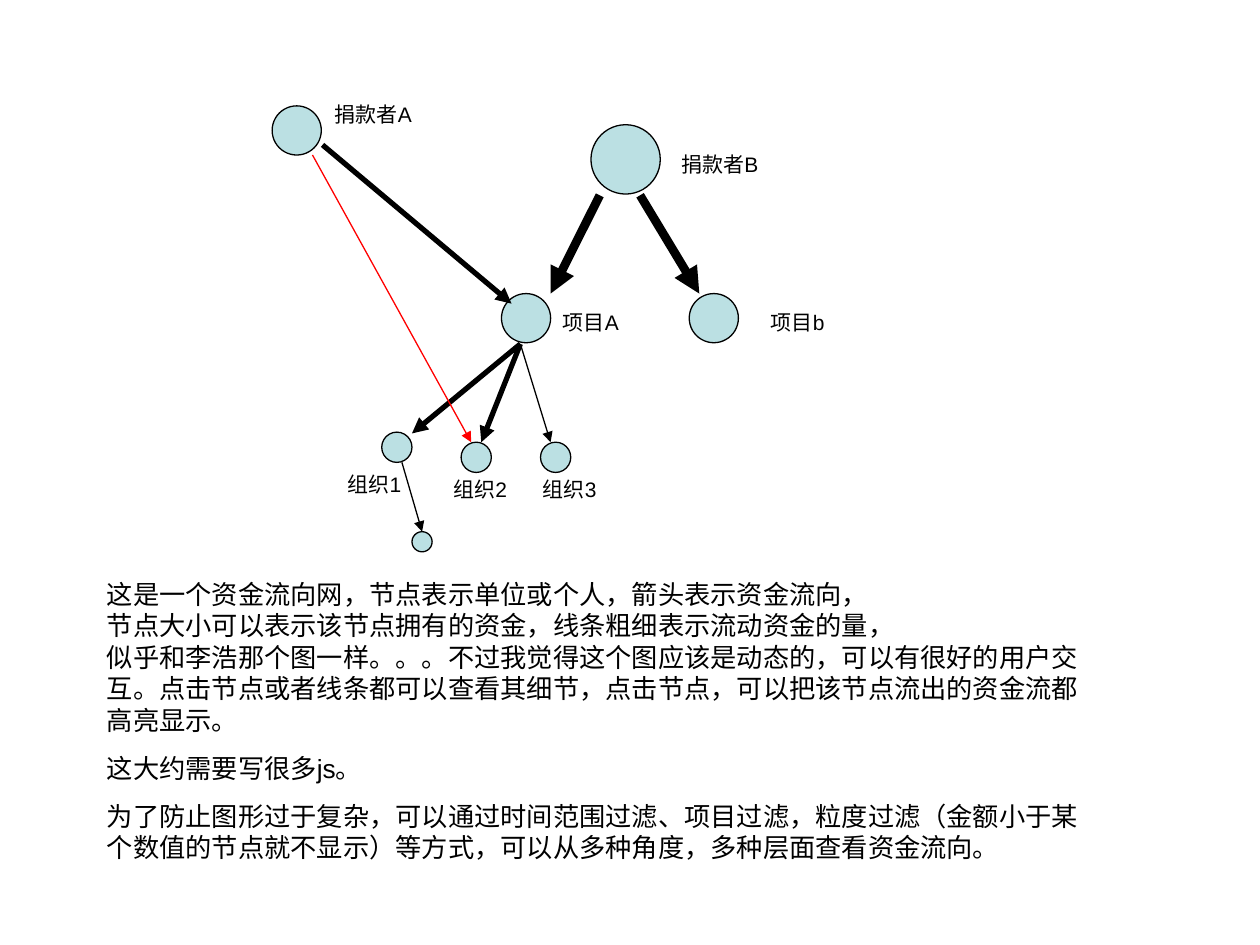
from pptx import Presentation, util as u
from pptx.dml.color import RGBColor
from pptx.enum import shapes, text
from pptx.oxml import parse_xml
from pptx.oxml.ns import nsdecls

BLACK = RGBColor(0x00, 0x00, 0x00)
RED = RGBColor(0xFF, 0x00, 0x00)
PALE_TEAL = RGBColor(0xBB, 0xE0, 0xE3)

NODES = [
    (2.16, 0.84, 0.39),
    (4.69, 0.99, 0.55),
    (3.98, 2.33, 0.39),
    (5.47, 2.33, 0.39),
    (3.03, 3.43, 0.24),
    (3.66, 3.51, 0.24),
    (4.29, 3.51, 0.24),
    (3.27, 4.22, 0.16),
]
FLOWS = [
    ((4.76, 1.55), (4.37, 2.33), 5, BLACK),
    ((5.08, 1.55), (5.55, 2.33), 5, BLACK),
    ((4.13, 2.73), (3.27, 3.44), 3, BLACK),
    ((4.13, 2.73), (3.82, 3.51), 3, BLACK),
    ((4.13, 2.73), (4.37, 3.51), 0.75, BLACK),
    ((2.56, 1.15), (4.06, 2.41), 3, BLACK),
    ((3.19, 3.67), (3.35, 4.22), 0.75, BLACK),
    ((2.48, 1.23), (3.74, 3.51), 0.75, RED),
]
LABELS = [
    ("捐款者A", 2.56, 0.76, 1.5),
    ("捐款者B", 5.31, 1.15, 1.5),
    ("项目A", 4.37, 2.41, 0.87),
    ("项目b", 6.02, 2.41, 0.87),
    ("组织1", 2.66, 3.69, 0.87),
    ("组织2", 3.5, 3.73, 0.87),
    ("组织3", 4.21, 3.73, 0.87),
]
NOTES = [
    "这是一个资金流向网，节点表示单位或个人，箭头表示资金流向，\n"
    "节点大小可以表示该节点拥有的资金，线条粗细表示流动资金的量，\n"
    "似乎和李浩那个图一样。。。不过我觉得这个图应该是动态的，可以有很好的用户交互。"
    "点击节点或者线条都可以查看其细节，点击节点，可以把该节点流出的资金流都高亮显示。",
    "这大约需要写很多js。",
    "为了防止图形过于复杂，可以通过时间范围过滤、项目过滤，粒度过滤（金额小于某个数值的节点就不显示）"
    "等方式，可以从多种角度，多种层面查看资金流向。",
]
FRAME = {"word_wrap": True, "auto_size": text.MSO_AUTO_SIZE.SHAPE_TO_FIT_TEXT}


def add_node(s, left, top, size):
    sp = s.shapes.add_shape(shapes.MSO_SHAPE.OVAL, *map(u.Inches, (left, top, size, size)))
    sp.shadow.inherit = False
    sp.fill.solid()
    sp.fill.fore_color.rgb = PALE_TEAL
    sp.line.color.rgb = BLACK
    sp.line.width = u.Pt(0.75)


def add_flow(s, start, end, width, color):
    sp = s.shapes.add_connector(shapes.MSO_CONNECTOR.STRAIGHT, *map(u.Inches, start + end))
    sp.line.color.rgb = color
    sp.line.width = u.Pt(width)
    sp.line._get_or_add_ln().append(parse_xml(f'<a:tailEnd {nsdecls("a")} type="triangle"/>'))
    sp._element.spPr.append(parse_xml(f'<a:effectLst {nsdecls("a")}/>'))


def add_text(s, lines, box, size, space):
    tf = s.shapes.add_textbox(*map(u.Inches, box)).text_frame
    for name, value in FRAME.items():
        setattr(tf, name, value)
    for i, line in enumerate(lines):
        p = tf.add_paragraph() if i else tf.paragraphs[0]
        p.text = line
        p.space_before = u.Pt(space)
        for r in p.runs:
            for name, value in {"name": "Arial", "size": u.Pt(size)}.items():
                setattr(r.font, name, value)
            r.font.color.rgb = BLACK


def main():
    prs = Presentation()
    prs.slide_width, prs.slide_height = u.Inches(10), u.Inches(7.5)
    s = prs.slides.add_slide(prs.slide_layouts[6])
    for node in NODES:
        add_node(s, *node)
    for flow in FLOWS:
        add_flow(s, *flow)
    for label, left, top, width in LABELS:
        add_text(s, [label], (left, top, width, 0.3), 12, 7.5)
    add_text(s, NOTES, (0.75, 4.54, 7.95, 2.74), 15, 9.4)
    prs.save("out.pptx")


if __name__ == "__main__":
    main()
